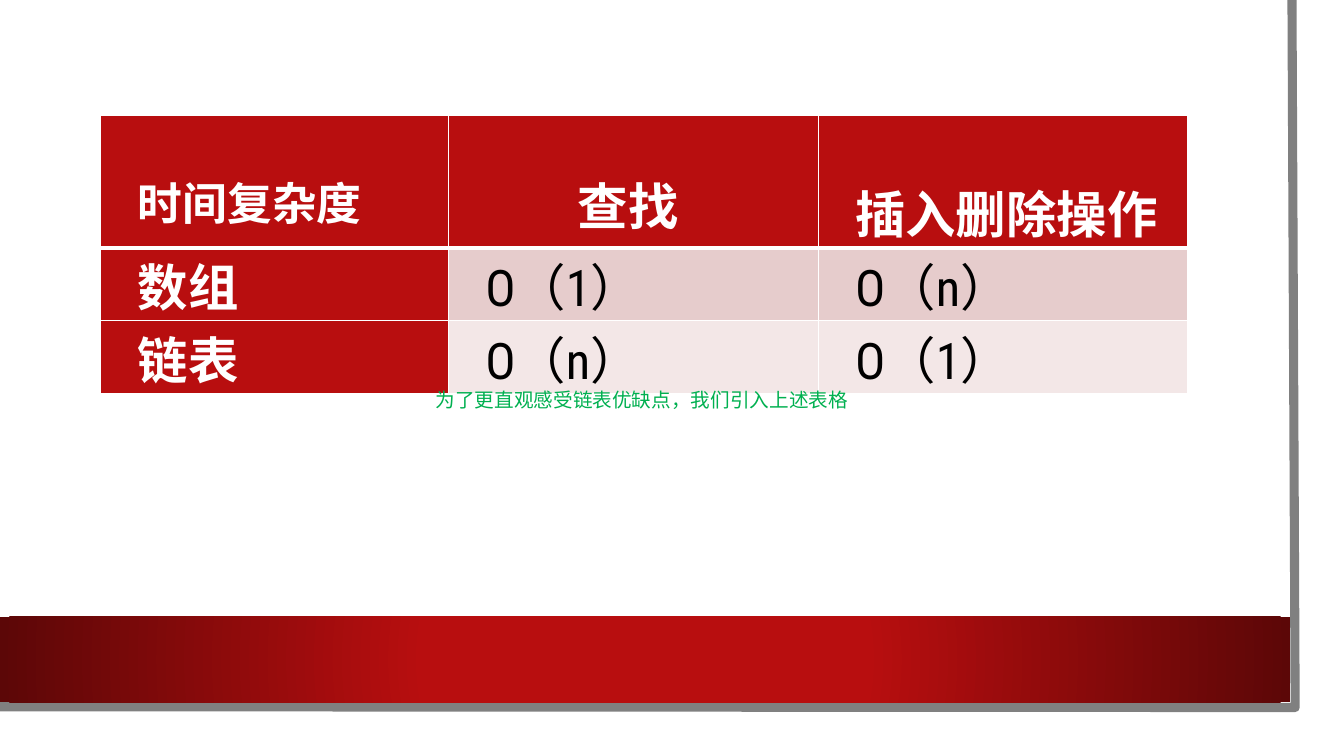
from lxml import etree
from pptx import Presentation
from pptx.dml.color import RGBColor
from pptx.enum.shapes import MSO_SHAPE
from pptx.enum.text import MSO_ANCHOR, PP_ALIGN
from pptx.oxml import parse_xml
from pptx.oxml.ns import nsdecls, qn
from pptx.util import Cm, Pt

WHITE = RGBColor(0xFF, 0xFF, 0xFF)
BLACK = RGBColor(0, 0, 0)
GRAY = RGBColor(0x80, 0x80, 0x80)
RED = RGBColor(0xB8, 0x0E, 0x0F)
DARK_RED = RGBColor(0x5C, 0x07, 0x07)
PINK = RGBColor(0xE6, 0xCC, 0xCC)
PALE_PINK = RGBColor(0xF3, 0xE7, 0xE7)
GREEN = RGBColor(0x00, 0xB0, 0x50)

TABLE_FONT = "Roboto Condensed"
CAPTION_FONT = "Noto Sans CJK SC"
INDENT = Cm(0.74)

# Header cells: text, size, top margin, indent
HEADER = [
    ("时间复杂度", 32, Cm(1.32), INDENT),
    ("查找", 36, Cm(1.3), Cm(3.07)),
    ("插入删除操作", 36, Cm(1.49), INDENT),
]
# Body rows: texts and fill of the value cells
BODY = [
    (("数组", "O（1）", "O（n）"), PINK),
    (("链表", "O（n）", "O（1）"), PALE_PINK),
]
COLUMN_WIDTHS = [Cm(8.76), Cm(9.32), Cm(9.32)]
ROW_HEIGHTS = [Cm(3.3), Cm(1.83), Cm(1.83)]


def add_rect(slide, left, top, width, height, color):
    sp = slide.shapes.add_shape(MSO_SHAPE.RECTANGLE, left, top, width, height)
    sp.shadow.inherit = False
    sp.fill.solid()
    sp.fill.fore_color.rgb = color
    sp.line.fill.background()
    return sp


def set_radial_gradient(sp, inner, outer):
    """Replace the solid fill by a gradient spreading from the centre."""
    grad = parse_xml(
        f'<a:gradFill {nsdecls("a")} rotWithShape="1"><a:gsLst>'
        f'<a:gs pos="34000"><a:srgbClr val="{inner}"/></a:gs>'
        f'<a:gs pos="100000"><a:srgbClr val="{outer}"/></a:gs></a:gsLst>'
        '<a:path path="circle">'
        '<a:fillToRect l="50000" t="50000" r="50000" b="50000"/>'
        '</a:path></a:gradFill>')
    solid = sp._element.spPr.find(qn("a:solidFill"))
    solid.getparent().replace(solid, grad)


def add_page_edge(slide):
    points = [(Cm(32.56), 0), (Cm(32.64), Cm(17.83)), (Cm(-0.08), Cm(17.81))]
    builder = slide.shapes.build_freeform(*points[0])
    builder.add_line_segments(points[1:], close=False)
    sp = builder.convert_to_shape()
    sp.shadow.inherit = False
    sp.fill.background()
    sp.line.color.rgb = GRAY
    sp.line.width = Pt(6.5)


def set_indent(p, indent):
    pPr = p._p.get_or_add_pPr()
    pPr.set("marL", str(indent))
    pPr.set("indent", "0")


def set_borders(cell, bottom):
    tcPr = cell._tc.get_or_add_tcPr()
    for side, width in (("L", 1), ("R", 1), ("T", 1), ("B", bottom)):
        ln = etree.SubElement(tcPr, qn(f"a:ln{side}"), w=str(Pt(width)))
        solid = etree.SubElement(ln, qn("a:solidFill"))
        etree.SubElement(solid, qn("a:srgbClr"), val=str(WHITE))


def fill_cell(cell, text, fill, color=WHITE, bold=True, size=36,
              top=0, indent=INDENT, bottom_border=1):
    set_borders(cell, bottom_border)
    cell.fill.solid()
    cell.fill.fore_color.rgb = fill
    cell.margin_left = cell.margin_right = Cm(0.19)
    cell.margin_top, cell.margin_bottom = top, 0
    p = cell.text_frame.paragraphs[0]
    p.text = text
    p.alignment = PP_ALIGN.JUSTIFY
    set_indent(p, indent)
    p.font.name = TABLE_FONT
    p.font.size = Pt(size)
    p.font.bold = bold
    p.font.color.rgb = color


def add_complexity_table(slide):
    frame = slide.shapes.add_table(
        len(ROW_HEIGHTS), len(COLUMN_WIDTHS), Cm(2.54), Cm(2.92),
        sum(COLUMN_WIDTHS), sum(ROW_HEIGHTS))
    table = frame.table
    table.first_col = True
    for column, width in zip(table.columns, COLUMN_WIDTHS):
        column.width = width
    for row, height in zip(table.rows, ROW_HEIGHTS):
        row.height = height

    for c, (text, size, top, indent) in enumerate(HEADER):
        fill_cell(table.cell(0, c), text, RED, size=size, top=top,
                  indent=indent, bottom_border=3)
    for r, ((name, *values), fill) in enumerate(BODY, start=1):
        fill_cell(table.cell(r, 0), name, RED)
        for c, value in enumerate(values, start=1):
            fill_cell(table.cell(r, c), value, fill, BLACK, bold=False)


def add_caption(slide, text):
    box = slide.shapes.add_textbox(Cm(8.56), Cm(9.63), Cm(13.54), Cm(0.86))
    tf = box.text_frame
    tf.word_wrap = True
    tf.vertical_anchor = MSO_ANCHOR.MIDDLE
    p = tf.paragraphs[0]
    p.text = text
    set_indent(p, Cm(2.17))
    p.font.name = CAPTION_FONT
    p.font.size = Pt(14)
    p.font.color.rgb = GREEN


def main():
    prs = Presentation()
    prs.slide_width, prs.slide_height = Cm(33.87), Cm(19.05)
    slide = prs.slides.add_slide(prs.slide_layouts[6])

    # Page backdrop
    add_rect(slide, 0, 0, Cm(33.27), Cm(18.47), WHITE)
    add_page_edge(slide)
    band = add_rect(slide, 0, Cm(15.54), Cm(32.51), Cm(2.16), RED)
    set_radial_gradient(band, RED, DARK_RED)

    # Content
    add_complexity_table(slide)
    add_caption(slide, "为了更直观感受链表优缺点，我们引入上述表格")

    prs.save("out.pptx")


if __name__ == "__main__":
    main()
